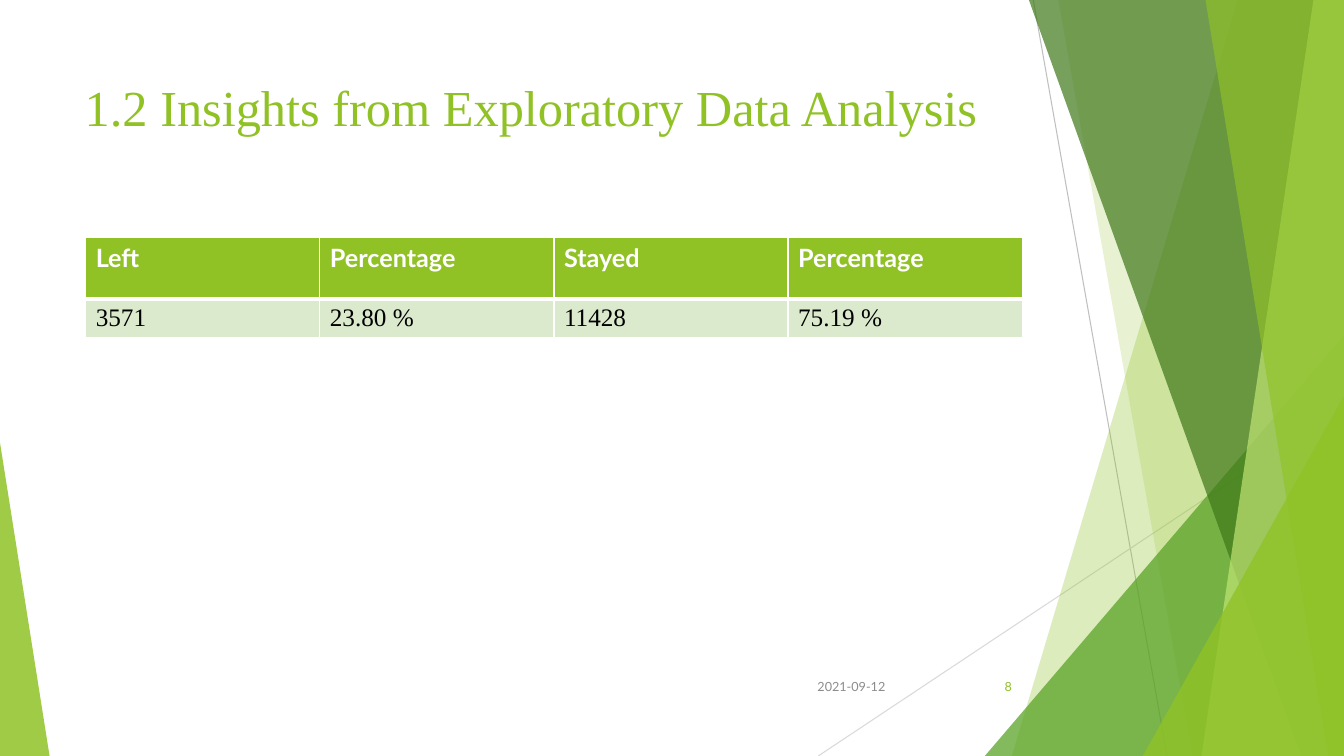
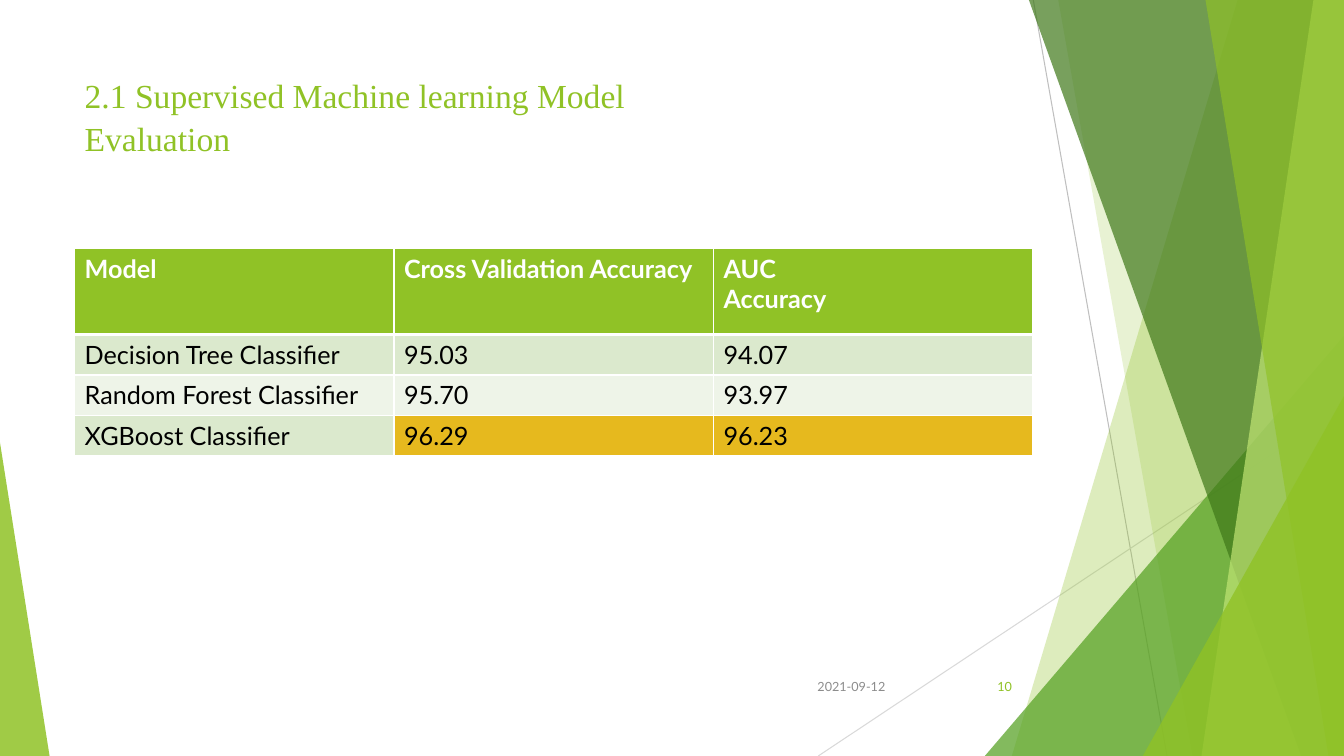
from lxml import etree
from pptx import Presentation
from pptx.dml.color import RGBColor
from pptx.enum.shapes import MSO_CONNECTOR, MSO_SHAPE
from pptx.enum.text import MSO_ANCHOR, MSO_AUTO_SIZE, PP_ALIGN
from pptx.oxml.ns import qn
from pptx.util import Cm, Pt

STRAIGHT, TRIANGLE = MSO_CONNECTOR.STRAIGHT, MSO_SHAPE.RIGHT_TRIANGLE
TRIANGLE = MSO_SHAPE.ISOSCELES_TRIANGLE
TOP, MIDDLE = MSO_ANCHOR.TOP, MSO_ANCHOR.MIDDLE
LEFT, RIGHT = PP_ALIGN.LEFT, PP_ALIGN.RIGHT
NO_FIT = MSO_AUTO_SIZE.NONE

# Content
DATE = "2021-09-12"
SLIDES = [
    {
        "title": "1.2 Insights from Exploratory Data Analysis",
        "title_size": 36,
        "number": "8",
        "rows": [
            ("Left ", "Percentage", "Stayed", "Percentage"),
            ("3571", "23.80 %", "11428", "75.19 %"),
        ],
        "at": (2.16, 5.99),
        "col_width": 5.9,
        "row_heights": (1.55, 0.95),
        "body_font": "Times New Roman",
        "best_row": None,
    },
    {
        "title": "2.1 Supervised Machine learning Model\vEvaluation",
        "title_size": 24,
        "number": "10",
        "rows": [
            ("Model", "Cross Validation Accuracy", "AUC\nAccuracy"),
            ("Decision Tree Classifier", "95.03", "94.07"),
            ("Random Forest Classifier", "95.70", "93.97"),
            ("XGBoost Classifier", "96.29", "96.23"),
        ],
        "at": (1.88, 6.27),
        "col_width": 8.05,
        "row_heights": (2.16, 1.02),
        "body_font": "Lato",
        "best_row": 3,
    },
]

# Shared look
WIDTH, HEIGHT = 33.87, 19.05
COLORS = {
    "green": "90C226", "leaf": "54A021", "forest": "3F7819", "lime": "C0E474",
    "line": "BFBFBF", "pale_line": "D9D9D9", "grey": "8C8C8C",
    "band": "DBE9CD", "pale_band": "EEF4E8", "gold": "E6B91E",
    "white": "FFFFFF", "black": "000000",
}
TITLE_BOX = (1.88, 1.7, 23.88, 3.66)
DATE_BOX = (20.02, 16.79, 2.54, 1.02)
NUMBER_BOX = (23.85, 16.79, 1.9, 1.02)
LINES = [  # x1, y1, x2, y2, colour
    (26.04, 0, 29.41, HEIGHT, "line"),
    (WIDTH, 10.24, 20.62, HEIGHT, "pale_line"),
]
BANDS = [  # ribbon: top x, bottom x; triangle: left, top, width, apex
    ("ribbon", (31.19, 25.5), "green", 30),
    ("ribbon", (26.67, 30.05), "green", 20),
    ("triangle", (24.82, 8.46, 9.05, 1), "leaf", 72),
    ("ribbon", (25.93, 32.79), "forest", 70),
    ("ribbon", (33.1, 30.28), "lime", 70),
    ("ribbon", (30.38, 33.48), "green", 65),
    ("triangle", (28.8, 9.98, 5.07, 1), "green", 80),
    ("triangle", (0, 11.15, 1.25, 0), "green", 85),
]


def rgb(name):
    return RGBColor.from_string(COLORS[name])


def cms(values):
    return [Cm(v) for v in values]


def format_text(tf, size, color, font="Lato", bold=False, **para):
    for p in tf.paragraphs:
        for name, value in para.items():
            setattr(p, name, value)
        for r in p.runs:
            values = {"size": Pt(size), "name": font, "bold": bold}
            for name, value in values.items():
                setattr(r.font, name, value)
            r.font.color.rgb = rgb(color)


def add_line(shapes, x1, y1, x2, y2, color):
    line = shapes.add_connector(STRAIGHT, *cms((x1, y1, x2, y2)))
    line.line.color.rgb = rgb(color)
    line.line.width = Pt(0.75)
    etree.SubElement(line.element.spPr, qn("a:effectLst"))
    return line


def add_band(shapes, kind, geometry, color, opacity):
    if kind == "ribbon":
        top_x, bottom_x = geometry
        outline = shapes.build_freeform(Cm(top_x), 0)
        corners = [(WIDTH, 0), (WIDTH, HEIGHT), (bottom_x, HEIGHT)]
        outline.add_line_segments([cms(c) for c in corners], close=True)
        sp = outline.convert_to_shape()
    else:
        left, top, width, apex = geometry
        sp = shapes.add_shape(TRIANGLE, *cms((left, top, width, HEIGHT - top)))
        sp.adjustments[0] = apex
    sp.shadow.inherit = False
    sp.line.fill.background()
    sp.fill.solid()
    sp.fill.fore_color.rgb = rgb(color)
    fill_color = sp.element.spPr.find(".//" + qn("a:srgbClr"))
    etree.SubElement(fill_color, qn("a:alpha"), val=str(opacity * 1000))
    return sp


def add_footer(shapes, box, text, color):
    tf = shapes.add_textbox(*cms(box)).text_frame
    tf.word_wrap = True
    tf.vertical_anchor = MIDDLE
    tf.text = text
    format_text(tf, 9, color, alignment=RIGHT)


def set_borders(cell, **widths):
    tc_pr = cell._tc.get_or_add_tcPr()
    for side in "LRTB":
        width = Pt(widths.get(side, 1))
        ln = etree.SubElement(tc_pr, qn("a:ln" + side), w=str(width))
        fill = etree.SubElement(ln, qn("a:solidFill"))
        etree.SubElement(fill, qn("a:srgbClr"), val=COLORS["white"])


def cell_fill(row, col, best_row):
    if row == 0:
        return "green"
    if row == best_row and col > 0:
        return "gold"
    return "band" if row % 2 else "pale_band"


def add_data_table(shapes, content):
    rows, col_width = content["rows"], content["col_width"]
    head_height, body_height = content["row_heights"]
    heights = [head_height] + [body_height] * (len(rows) - 1)
    size = (col_width * len(rows[0]), sum(heights))
    table = shapes.add_table(len(rows), len(rows[0]),
                             *cms(content["at"] + size)).table
    for column in table.columns:
        column.width = Cm(col_width)
    for i, texts in enumerate(rows):
        table.rows[i].height = Cm(heights[i])
        for j, text in enumerate(texts):
            cell = table.cell(i, j)
            cell.text = text
            if i == 0:
                format_text(cell.text_frame, 18, "white", bold=True)
            else:
                format_text(cell.text_frame, 18, "black", content["body_font"])
            set_borders(cell, B=3 if i == 0 else 1, T=3 if i == 1 else 1)
            cell.fill.solid()
            cell.fill.fore_color.rgb = rgb(cell_fill(i, j, content["best_row"]))


prs = Presentation()
prs.slide_width, prs.slide_height = Cm(WIDTH), Cm(HEIGHT)
layout = prs.slide_layouts[5]

# Title position, shared through the layout
title = layout.placeholders[0]
for name, value in zip(("left", "top", "width", "height"), TITLE_BOX):
    setattr(title, name, Cm(value))

# Slides
for content in SLIDES:
    s = prs.slides.add_slide(layout)
    tf = s.shapes.title.text_frame
    for name, value in {"word_wrap": True, "auto_size": NO_FIT,
                        "vertical_anchor": TOP}.items():
        setattr(tf, name, value)
    tf.text = content["title"]
    format_text(tf, content["title_size"], "green", "Times New Roman",
                alignment=LEFT, line_spacing=1.06)
    add_data_table(s.shapes, content)
    add_footer(s.shapes, DATE_BOX, DATE, "grey")
    add_footer(s.shapes, NUMBER_BOX, content["number"], "green")

# Bands are built on a slide, then moved to the layout all slides share
shapes = prs.slides[0].shapes
decor = [add_line(shapes, *line) for line in LINES]
decor += [add_band(shapes, *band) for band in BANDS]
for position, sp in enumerate(decor, start=2):
    layout.shapes.element.insert(position, sp.element)

prs.save("out.pptx")
